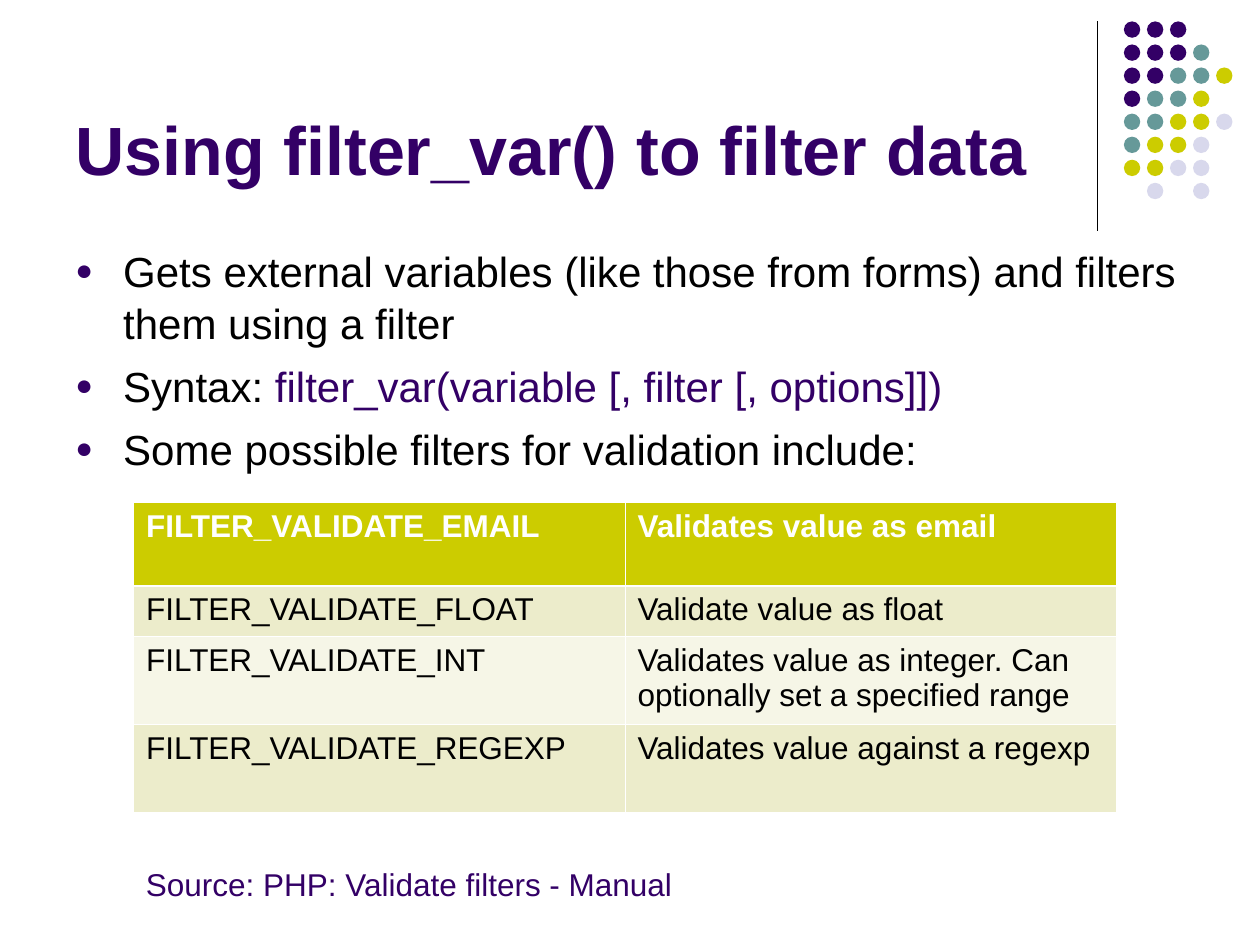
from lxml import etree
from pptx import Presentation
from pptx import util as u
from pptx.dml.color import RGBColor
from pptx.enum import shapes, text
from pptx.oxml.ns import qn

COLORS = {
    "purple": "330066", "teal": "669999", "olive": "CCCC00", "lavender": "D8D8EC",
    "black": "000000", "white": "FFFFFF", "band": "ECECCB", "light_band": "F6F6E7",
}
DOT_COLORS = {"P": "purple", "T": "teal", "O": "olive", "L": "lavender"}
DOT_ROWS = ["PPP", "PPPT", "PPTTO", "PTTO", "TTOOL", "TOOL", "OOLL", " L L"]
BULLETS = [
    [("Gets external variables (like those from forms) and filters them using a filter", "black")],
    [("Syntax: ", "black"), ("filter_var(variable [, filter [, options]])", "purple")],
    [("Some possible filters for validation include:", "black")],
]
FILTERS = [
    ("FILTER_VALIDATE_EMAIL", "Validates value as email"),
    ("FILTER_VALIDATE_FLOAT", "Validate value as float"),
    ("FILTER_VALIDATE_INT", "Validates value as integer. Can optionally set a specified range"),
    ("FILTER_VALIDATE_REGEXP", "Validates value against a regexp"),
]
ROW_HEIGHTS = [0.66, 0.4, 0.7, 0.7]
ROW_FILLS = ["olive", "band", "light_band", "band"]


def rgb(name):
    """Return the named colour."""
    return RGBColor.from_string(COLORS[name])


def add_run(paragraph, content, size, color, bold=False):
    """Append one formatted run."""
    run = paragraph.add_run()
    run.text = content
    run.font.name = "Arial"
    run.font.size = u.Pt(size)
    run.font.bold = bold
    run.font.color.rgb = rgb(color)


def add_text_frame(slide, left, top, width, height, anchor=text.MSO_ANCHOR.TOP):
    """Add a wrapping text box and return its frame."""
    box = slide.shapes.add_textbox(*map(u.Inches, (left, top, width, height)))
    frame = box.text_frame
    frame.word_wrap = True
    frame.vertical_anchor = anchor
    return frame


def add_bullet(paragraph):
    """Give a paragraph a hanging purple bullet."""
    properties = paragraph._p.get_or_add_pPr()
    properties.set("marL", str(u.Inches(0.38)))
    properties.set("indent", str(-u.Inches(0.38)))
    color = etree.SubElement(properties, qn("a:buClr"))
    etree.SubElement(color, qn("a:srgbClr"), val=COLORS["purple"])
    etree.SubElement(properties, qn("a:buSzPct"), val="70000")
    etree.SubElement(properties, qn("a:buFont"), typeface="Arial")
    etree.SubElement(properties, qn("a:buChar"), char="●")


def add_bullets(slide):
    """Add the bulleted body text."""
    frame = add_text_frame(slide, 0.5, 1.88, 9, 4.82)
    for index, runs in enumerate(BULLETS):
        paragraph = frame.add_paragraph() if index else frame.paragraphs[0]
        paragraph.space_before = u.Pt(6)
        paragraph.line_spacing = 1.04
        add_bullet(paragraph)
        for content, color in runs:
            add_run(paragraph, content, 24, color)


def add_rule(slide):
    """Add the vertical line beside the dots."""
    x = u.Inches(8.71)
    line = slide.shapes.add_connector(
        shapes.MSO_CONNECTOR.STRAIGHT, x, u.Inches(0.17), x, u.Inches(1.83))
    line.line.color.rgb = rgb("black")
    line.line.width = u.Pt(0.75)
    etree.SubElement(line._element.spPr, qn("a:effectLst"))


def add_dots(slide):
    """Add the grid of coloured dots."""
    step, size = 0.183, u.Inches(0.13)
    for row, codes in enumerate(DOT_ROWS):
        for column, code in enumerate(codes):
            if code in DOT_COLORS:
                dot = slide.shapes.add_shape(
                    shapes.MSO_SHAPE.OVAL, u.Inches(8.92 + column * step),
                    u.Inches(0.17 + row * step), size, size)
                dot.shadow.inherit = False
                dot.fill.solid()
                dot.fill.fore_color.rgb = rgb(DOT_COLORS[code])
                dot.line.fill.background()


def set_borders(cell, **widths):
    """Draw white cell borders with the given widths in points."""
    properties = cell._tc.get_or_add_tcPr()
    for index, (side, width) in enumerate(widths.items()):
        border = etree.Element(qn(f"a:ln{side}"), w=str(u.Pt(width)))
        fill = etree.SubElement(border, qn("a:solidFill"))
        etree.SubElement(fill, qn("a:srgbClr"), val=COLORS["white"])
        properties.insert(index, border)


def add_filter_table(slide):
    """Add the table of validation filters."""
    table = slide.shapes.add_table(
        len(FILTERS), 2, u.Inches(1.06), u.Inches(3.99),
        u.Inches(7.8), u.Inches(sum(ROW_HEIGHTS))).table
    for row, contents in enumerate(FILTERS):
        table.rows[row].height = u.Inches(ROW_HEIGHTS[row])
        header = row == 0
        for column, content in enumerate(contents):
            cell = table.cell(row, column)
            cell.fill.solid()
            cell.fill.fore_color.rgb = rgb(ROW_FILLS[row])
            set_borders(cell, L=0.45, R=0.45, T=1.47 if row == 1 else 0.45,
                        B=1.47 if header else 0.45)
            add_run(cell.text_frame.paragraphs[0], content, 18,
                    "white" if header else "black", header)


def main():
    """Build and save the slide."""
    presentation = Presentation()
    presentation.slide_width = u.Inches(10)
    presentation.slide_height = u.Inches(7.5)
    slide = presentation.slides.add_slide(presentation.slide_layouts[6])
    add_rule(slide)
    add_dots(slide)
    title = add_text_frame(slide, 0.5, 0.13, 8.25, 1.42, text.MSO_ANCHOR.BOTTOM)
    add_run(title.paragraphs[0], "Using filter_var() to filter data", 39, "purple", True)
    add_bullets(slide)
    add_filter_table(slide)
    source = add_text_frame(slide, 1.06, 6.82, 4.41, 0.4)
    add_run(source.paragraphs[0], "Source: PHP: Validate filters - Manual", 18, "purple")
    presentation.save("out.pptx")


if __name__ == "__main__":
    main()
